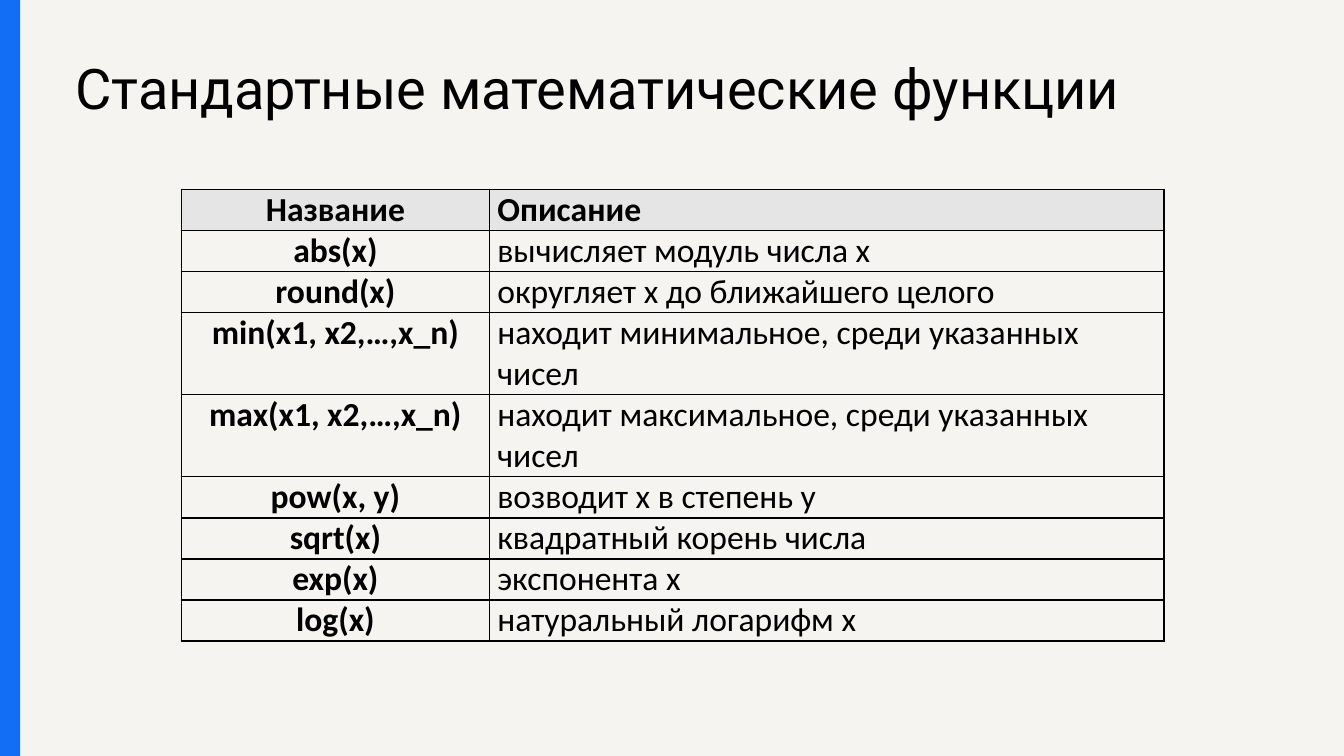
from typing import NamedTuple

from lxml.etree import SubElement
from pptx import Presentation
from pptx.dml.color import RGBColor
from pptx.enum.shapes import MSO_SHAPE
from pptx.enum.text import MSO_ANCHOR, PP_ALIGN
from pptx.oxml.ns import qn
from pptx.util import Cm, Pt

BLACK = "000000"
BACKGROUND = "F5F4F0"
ACCENT = "136EF6"
HEADER_FILL = "E5E5E5"
ROW_HEIGHT = 0.77
COLUMN_WIDTHS = (5.82, 12.75)


class TableRow(NamedTuple):
    name: str
    description: str
    lines: int = 1


ROWS = [
    TableRow("Название", "Описание"),
    TableRow("abs(x)", "вычисляет модуль числа x"),
    TableRow("round(x)", "округляет x до ближайшего целого"),
    TableRow("min(x1, x2,…,x_n)", "находит минимальное, среди указанных чисел", 2),
    TableRow("max(x1, x2,…,x_n)", "находит максимальное, среди указанных чисел", 2),
    TableRow("pow(x, y)", "возводит x в степень y"),
    TableRow("sqrt(x)", "квадратный корень числа"),
    TableRow("exp(x)", "экспонента x"),
    TableRow("log(x)", "натуральный логарифм x"),
]


def color(value: str) -> RGBColor:
    return RGBColor.from_string(value)


def set_font(para, name: str, size: float, bold: bool = False) -> None:
    para.font.name = name
    para.font.size = Pt(size)
    para.font.bold = bold
    para.font.color.rgb = color(BLACK)


def add_borders(cell) -> None:
    properties = cell._tc.get_or_add_tcPr()
    for side in ("a:lnL", "a:lnR", "a:lnT", "a:lnB"):
        line = SubElement(properties, qn(side), w=str(Pt(1)))
        fill = SubElement(line, qn("a:solidFill"))
        SubElement(fill, qn("a:srgbClr"), val=BLACK)


def format_cell(cell, text: str, header: bool, centered: bool) -> None:
    cell.margin_left = cell.margin_right = Cm(0.15)
    cell.margin_top = cell.margin_bottom = 0
    cell.text = text
    para = cell.text_frame.paragraphs[0]
    para.alignment = PP_ALIGN.CENTER if centered else PP_ALIGN.LEFT
    set_font(para, "Calibri", 18, bold=header or centered)
    add_borders(cell)
    if header:
        cell.fill.solid()
        cell.fill.fore_color.rgb = color(HEADER_FILL)
    else:
        cell.fill.background()


def add_title(page, text: str) -> None:
    title = page.shapes.title
    title.left, title.top = Cm(1.17), Cm(0.76)
    title.width, title.height = Cm(21.23), Cm(2.59)
    frame = title.text_frame
    frame.margin_left = frame.margin_right = Cm(0.25)
    frame.margin_top = frame.margin_bottom = Cm(0.25)
    frame.vertical_anchor = MSO_ANCHOR.TOP
    frame.word_wrap = True
    frame.text = text
    para = frame.paragraphs[0]
    para.alignment = PP_ALIGN.LEFT
    set_font(para, "Roboto", 30)


def add_side_bar(page) -> None:
    bar = page.shapes.add_shape(MSO_SHAPE.RECTANGLE, 0, Cm(-0.03), Cm(0.38), Cm(14.35))
    bar.shadow.inherit = False
    bar.fill.solid()
    bar.fill.fore_color.rgb = color(ACCENT)
    bar.line.fill.background()


def add_function_table(page, rows: list[TableRow]) -> None:
    height = ROW_HEIGHT * sum(row.lines for row in rows)
    table = page.shapes.add_table(
        len(rows), len(COLUMN_WIDTHS), Cm(3.43), Cm(3.58),
        Cm(sum(COLUMN_WIDTHS)), Cm(height),
    ).table
    for column, width in zip(table.columns, COLUMN_WIDTHS):
        column.width = Cm(width)
    for index, row in enumerate(rows):
        table.rows[index].height = Cm(ROW_HEIGHT * row.lines)
        format_cell(table.cell(index, 0), row.name, index == 0, centered=True)
        format_cell(table.cell(index, 1), row.description, index == 0, centered=False)


def main() -> None:
    deck = Presentation()
    deck.slide_width, deck.slide_height = Cm(25.4), Cm(14.29)
    page = deck.slides.add_slide(deck.slide_layouts[5])
    page.background.fill.solid()
    page.background.fill.fore_color.rgb = color(BACKGROUND)

    # Title and side bar
    add_title(page, "Стандартные математические функции")
    add_side_bar(page)

    # Table of functions
    add_function_table(page, ROWS)

    deck.save("out.pptx")


if __name__ == "__main__":
    main()
